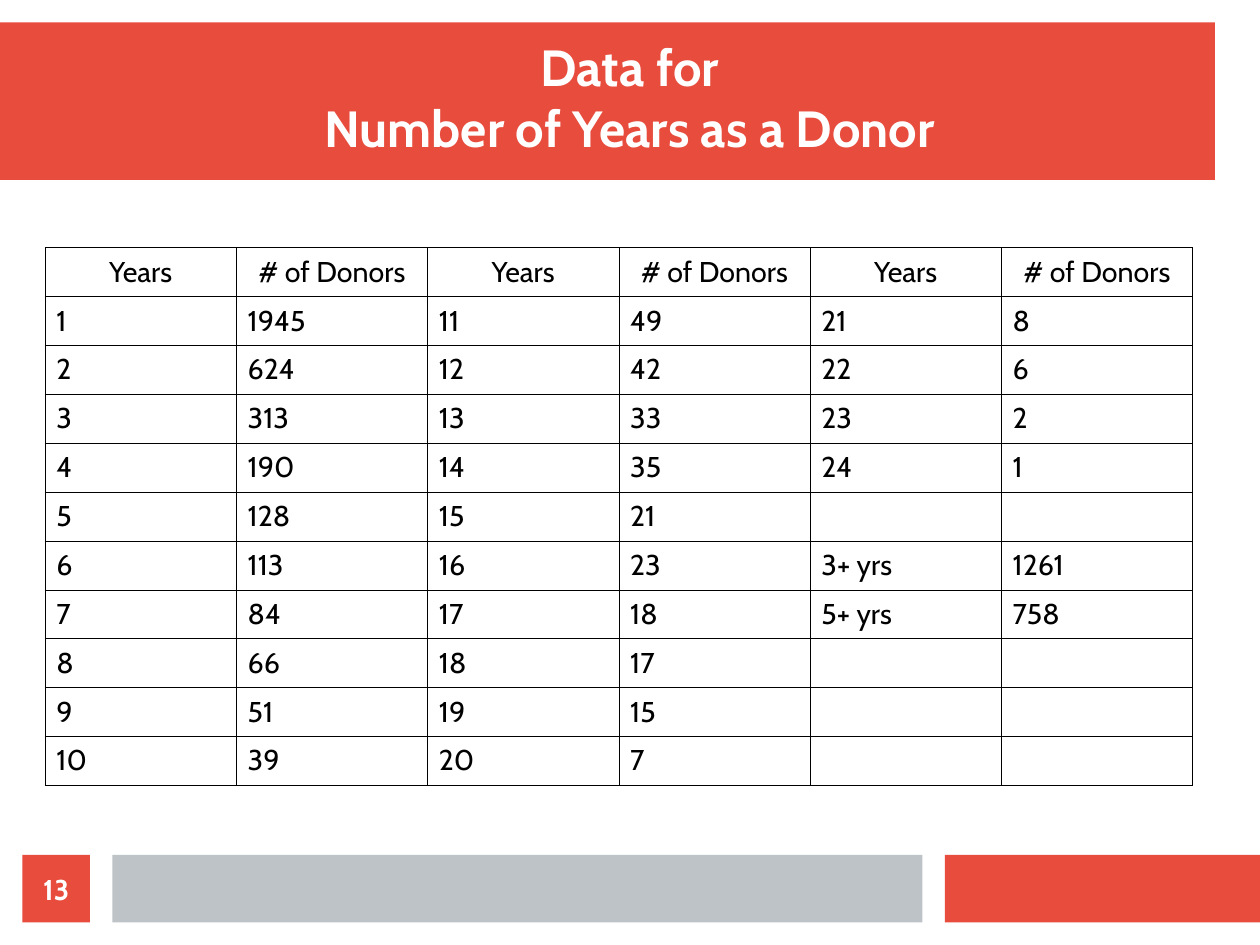
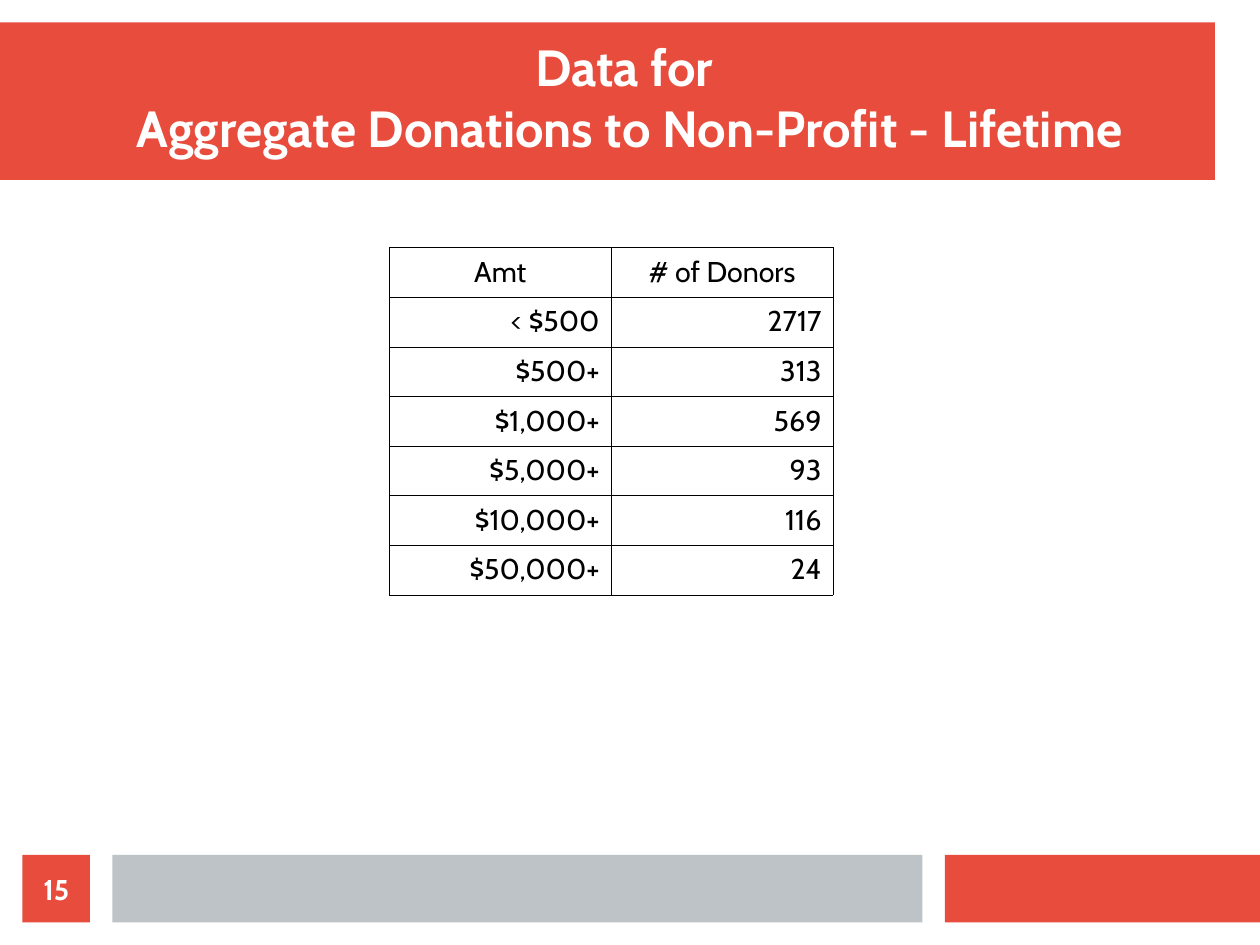
from dataclasses import dataclass

from lxml.etree import SubElement
from pptx import Presentation
from pptx.dml.color import RGBColor
from pptx.enum.shapes import MSO_SHAPE
from pptx.enum.text import MSO_ANCHOR, PP_ALIGN
from pptx.oxml.ns import qn
from pptx.util import Inches, Pt


@dataclass(frozen=True)
class Theme:
    red: str = "E74C3C"
    gray: str = "BDC3C7"
    white: str = "FFFFFF"
    black: str = "000000"
    font: str = "Cabin"
    title_size: int = 32
    body_size: int = 18
    border: float = 0.06
    line_spacing: float = 1.04


THEME = Theme()

CM_PER_INCH = 2.54
SLIDE_SIZE = (28, 21)
FOOTER_TOP, FOOTER_HEIGHT = 19, 1.5
BANDS = [
    ((0, 0.5, 27, 3.5), THEME.red),
    ((21, FOOTER_TOP, 7, FOOTER_HEIGHT), THEME.red),
    ((2.5, FOOTER_TOP, 18, FOOTER_HEIGHT), THEME.gray),
]
NUMBER_BOX = (0.5, FOOTER_TOP, FOOTER_HEIGHT, FOOTER_HEIGHT)
TITLE_BOX = (1, 1, 26, 2.5)

SLIDES = [
    {
        "number": "13",
        "title": "Data for\nNumber of Years as a Donor",
        "table_box": (1, 5.5, 25.5, 11.95),
        "align": PP_ALIGN.LEFT,
        "header": ("Years", "# of Donors") * 3,
        "rows": [
            ("1", "1945", "11", "49", "21", "8"),
            ("2", "624", "12", "42", "22", "6"),
            ("3", "313", "13", "33", "23", "2"),
            ("4", "190", "14", "35", "24", "1"),
            ("5", "128", "15", "21", "", ""),
            ("6", "113", "16", "23", "3+ yrs", "1261"),
            ("7", "84", "17", "18", "5+ yrs", "758"),
            ("8", "66", "18", "17", "", ""),
            ("9", "51", "19", "15", "", ""),
            ("10", "39", "20", "7", "", ""),
        ],
    },
    {
        "number": "15",
        "title": "Data for \nAggregate Donations to Non-Profit - Lifetime",
        "table_box": (8.65, 5.5, 9.86, 7.72),
        "align": PP_ALIGN.RIGHT,
        "header": ("Amt", "# of Donors"),
        "rows": [
            ("< $500", "2717"),
            ("$500+", "313"),
            ("$1,000+", "569"),
            ("$5,000+", "93"),
            ("$10,000+", "116"),
            ("$50,000+", "24"),
        ],
    },
]


def set_all(target, values):
    for name, value in values.items():
        setattr(target, name, value)


def lengths(centimetres):
    return [Inches(value / CM_PER_INCH) for value in centimetres]


def write(frame, text, size, color, bold=False, align=PP_ALIGN.CENTER, spacing=None):
    para = frame.paragraphs[0]
    para.text = text
    set_all(para, {"alignment": align, "line_spacing": spacing})
    for span in para.runs:
        set_all(span.font, {"name": THEME.font, "size": Pt(size), "bold": bold})
        span.font.color.rgb = RGBColor.from_string(color)


def write_box(shape, text, size, anchor):
    set_all(shape.text_frame, {
        "word_wrap": True,
        "vertical_anchor": anchor,
        "margin_left": 0,
        "margin_right": 0,
        "margin_top": 0,
        "margin_bottom": 0,
    })
    write(shape.text_frame, text, size, THEME.white, bold=True)


def add_band(page, box, color):
    band = page.shapes.add_shape(MSO_SHAPE.RECTANGLE, *lengths(box))
    band.shadow.inherit = False
    band.fill.solid()
    band.fill.fore_color.rgb = RGBColor.from_string(color)
    band.line.fill.background()
    return band


def add_borders(cell):
    properties = cell._tc.get_or_add_tcPr()
    for index, side in enumerate(("lnL", "lnR", "lnT", "lnB")):
        line = SubElement(properties, qn(f"a:{side}"), w=str(Pt(THEME.border)))
        fill = SubElement(line, qn("a:solidFill"))
        SubElement(fill, qn("a:srgbClr"), val=THEME.black)
        properties.insert(index, line)


def add_data_table(page, content):
    rows = [content["header"], *content["rows"]]
    left, top, width, height = lengths(content["table_box"])
    row_count, column_count = len(rows), len(rows[0])
    table = page.shapes.add_table(row_count, column_count, left, top, width, height).table
    set_all(table, {"first_row": False, "horz_banding": False})
    for column in table.columns:
        column.width = width // column_count
    for row_index, (row, values) in enumerate(zip(table.rows, rows)):
        row.height = height // row_count
        align = content["align"] if row_index else PP_ALIGN.CENTER
        for cell, value in zip(row.cells, values):
            cell.fill.background()
            add_borders(cell)
            write(cell.text_frame, value, THEME.body_size, THEME.black,
                  align=align, spacing=THEME.line_spacing)


def add_page(deck, content):
    page = deck.slides.add_slide(deck.slide_layouts[6])
    for box, color in BANDS:
        add_band(page, box, color)
    number = add_band(page, NUMBER_BOX, THEME.red)
    write_box(number, content["number"], THEME.body_size, MSO_ANCHOR.MIDDLE)
    title = page.shapes.add_textbox(*lengths(TITLE_BOX))
    write_box(title, content["title"], THEME.title_size, MSO_ANCHOR.BOTTOM)
    add_data_table(page, content)


def main():
    deck = Presentation()
    deck.slide_width, deck.slide_height = lengths(SLIDE_SIZE)
    for content in SLIDES:
        add_page(deck, content)
    deck.save("out.pptx")


if __name__ == "__main__":
    main()
